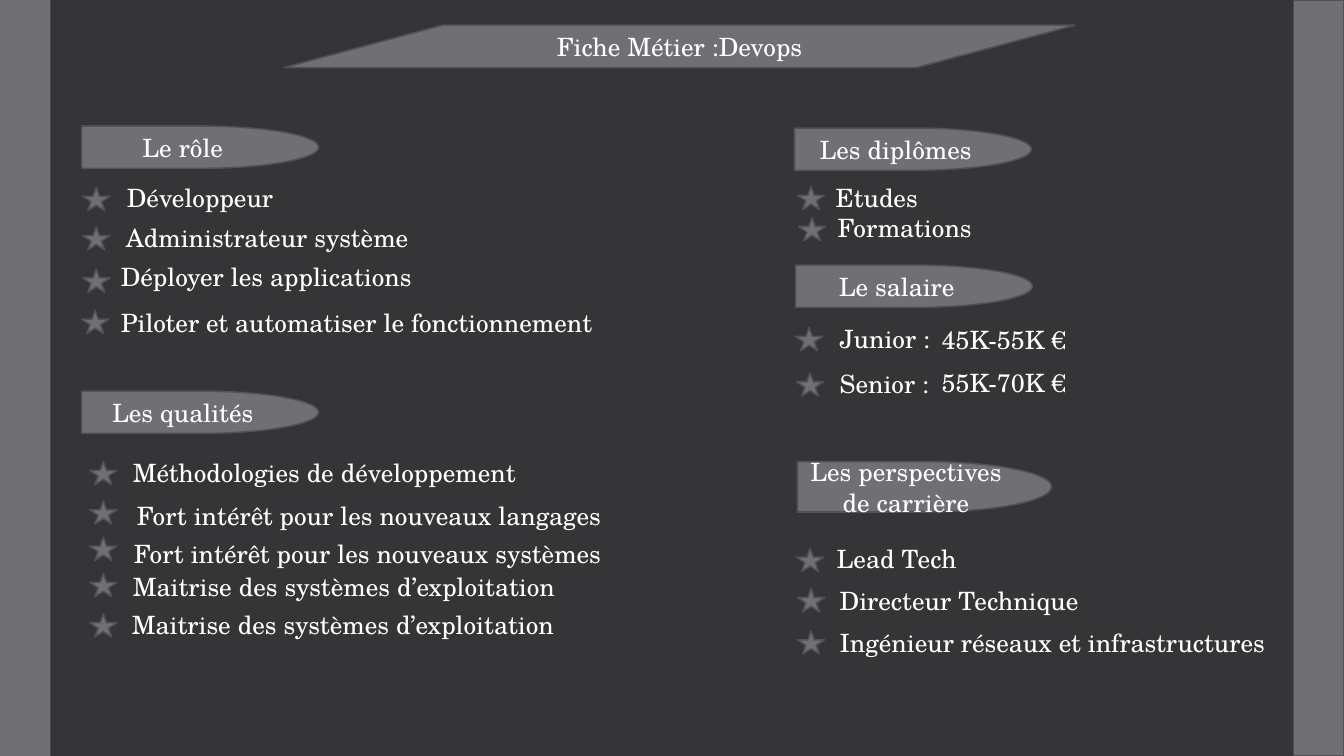
from pptx import Presentation
from pptx.dml.color import RGBColor
from pptx.enum import shapes, text
from pptx import util as u

SCALE = 9144
PAGE_SIZE = (1333, 750)
BACKGROUND = RGBColor(0x35, 0x35, 0x37)
GREY = RGBColor(0x6F, 0x6F, 0x74)
OUTLINE = RGBColor(0x52, 0x52, 0x56)
WHITE = RGBColor(0xFF, 0xFF, 0xFF)
FONT = {"name": "TeX Gyre Schola", "size": u.Pt(18), "bold": False}
STAR_SIZE = (27, 23)
LABEL_HEIGHT = 40

TITLE = "Fiche Métier :Devops"
TITLE_BAND = (282, 25, 784, 42)
SIDE_BARS = [((0, 0, 50, 750), False), ((1283, 0, 50, 750), True)]

# heading, heading area, rows of (star left, star top, label left, label top, label width, label)
SECTIONS = [
    ("Le rôle", (81, 125, 235, 42), [
        (82, 186, 116, 176, 167, "Développeur"),
        (82, 225, 115, 216, 304, "Administrateur système"),
        (82, 267, 110, 254, 313, "Déployer les applications"),
        (81, 308, 110, 300, 494, "Piloter et automatiser le fonctionnement"),
    ]),
    ("Les qualités", (81, 388, 235, 42), [
        (89, 458, 122, 449, 405, "Méthodologies de développement"),
        (89, 497, 126, 491, 487, "Fort intérêt pour les nouveaux langages"),
        (89, 533, 123, 529, 490, "Fort intérêt pour les nouveaux systèmes"),
        (89, 569, 122, 562, 444, "Maitrise des systèmes d’exploitation"),
        (89, 609, 121, 600, 444, "Maitrise des systèmes d’exploitation"),
    ]),
    ("Les diplômes", (788, 127, 235, 42), [
        (791, 185, 819, 176, 103, "Etudes"),
        (792, 216, 821, 206, 155, "Formations"),
    ]),
    ("Le salaire", (789, 263, 235, 42), [
        (789, 325, 823, 316, 111, "Junior :"),
        (790, 370, 823, 361, 110, "Senior :"),
    ]),
    ("Les perspectives de carrière", (791, 458, 252, 50), [
        (790, 544, 820, 534, 141, "Lead Tech"),
        (791, 584, 823, 576, 260, "Directeur Technique"),
        (791, 626, 823, 617, 447, "Ingénieur réseaux et infrastructures"),
    ]),
]
SALARIES = [(924, 317, 145, "45K-55K €"), (924, 359, 145, "55K-70K €")]


def emu(area):
    return [length * SCALE for length in area]


def write(shape, words, align, **frame_format):
    frame = shape.text_frame
    frame.text = words
    for key, value in frame_format.items():
        setattr(frame, key, value)
    para = frame.paragraphs[0]
    para.alignment = align
    font = para.runs[0].font
    for key, value in FONT.items():
        setattr(font, key, value)
    font.color.rgb = WHITE


def write_centred(shape, words):
    write(shape, words, text.PP_ALIGN.CENTER, word_wrap=True,
          vertical_anchor=text.MSO_ANCHOR.MIDDLE,
          auto_size=text.MSO_AUTO_SIZE.NONE)


def add_figure(page, kind, area, outlined=True):
    figure = page.shapes.add_shape(kind, *emu(area))
    figure.shadow.inherit = False
    figure.fill.solid()
    figure.fill.fore_color.rgb = GREY
    if outlined:
        figure.line.color.rgb = OUTLINE
        figure.line.width = u.Pt(1.1)
    else:
        figure.line.fill.background()
    return figure


def add_label(page, left, top, width, words):
    box = page.shapes.add_textbox(*emu((left, top, width, LABEL_HEIGHT)))
    write(box, words, text.PP_ALIGN.LEFT, word_wrap=False,
          auto_size=text.MSO_AUTO_SIZE.SHAPE_TO_FIT_TEXT)


def add_title(page):
    band = add_figure(page, shapes.MSO_SHAPE.FLOWCHART_DATA, TITLE_BAND)
    title = page.shapes.title
    title.left, title.top, title.width, title.height = emu(TITLE_BAND)
    write_centred(title, TITLE)
    band.element.addnext(title.element)


def add_section(page, heading, area, rows):
    tab = add_figure(page, shapes.MSO_SHAPE.FLOWCHART_DELAY, area)
    write_centred(tab, heading)
    for star_left, star_top, *label in rows:
        add_figure(page, shapes.MSO_SHAPE.STAR_5_POINT, (star_left, star_top, *STAR_SIZE))
        add_label(page, *label)


def main():
    deck = Presentation()
    deck.slide_width, deck.slide_height = emu(PAGE_SIZE)
    page = deck.slides.add_slide(deck.slide_layouts[5])
    page.background.fill.solid()
    page.background.fill.fore_color.rgb = BACKGROUND
    for area, outlined in SIDE_BARS:
        add_figure(page, shapes.MSO_SHAPE.RECTANGLE, area, outlined)
    add_title(page)
    for section in SECTIONS:
        add_section(page, *section)
    for salary in SALARIES:
        add_label(page, *salary)
    deck.save("out.pptx")


if __name__ == "__main__":
    main()
